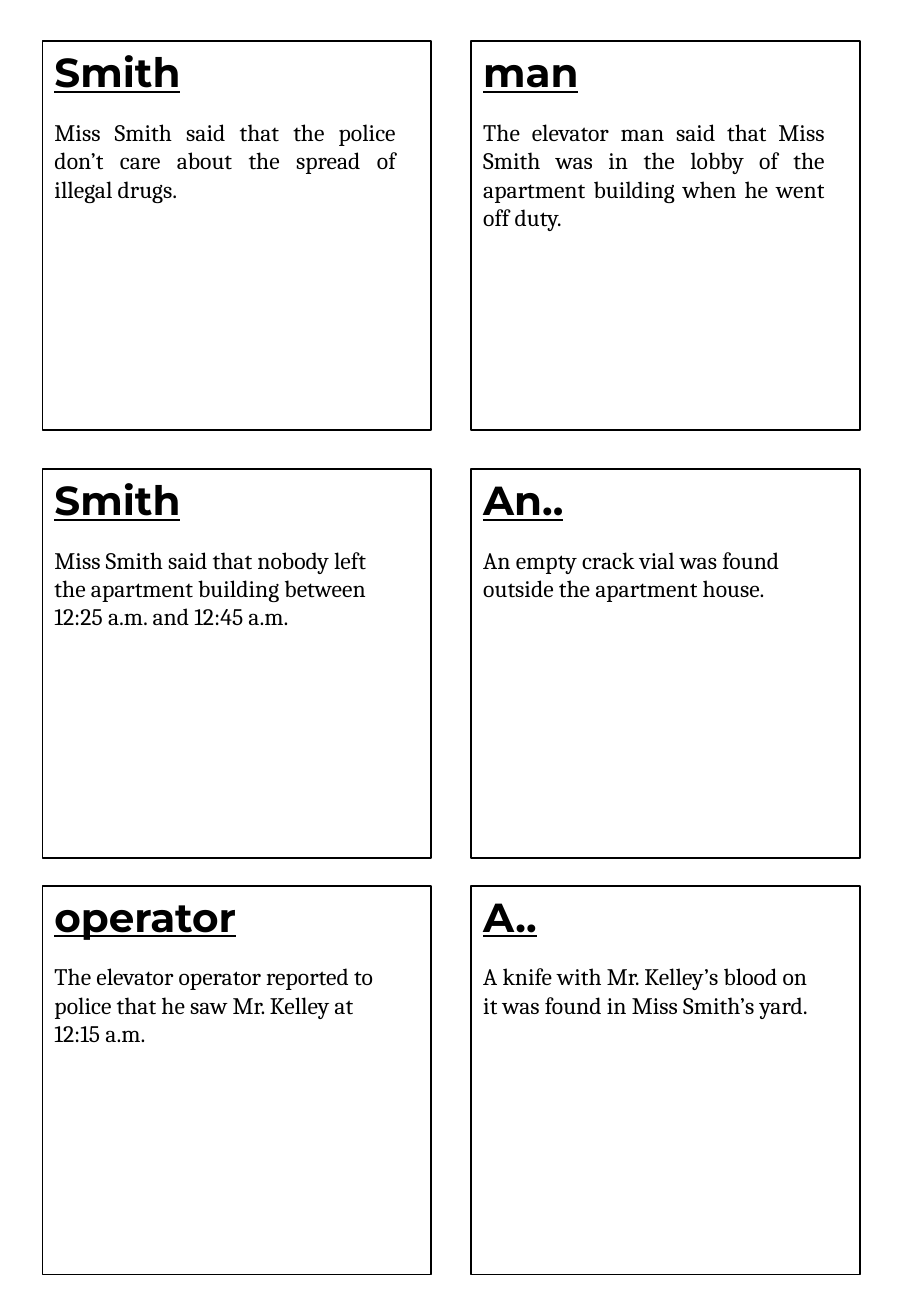
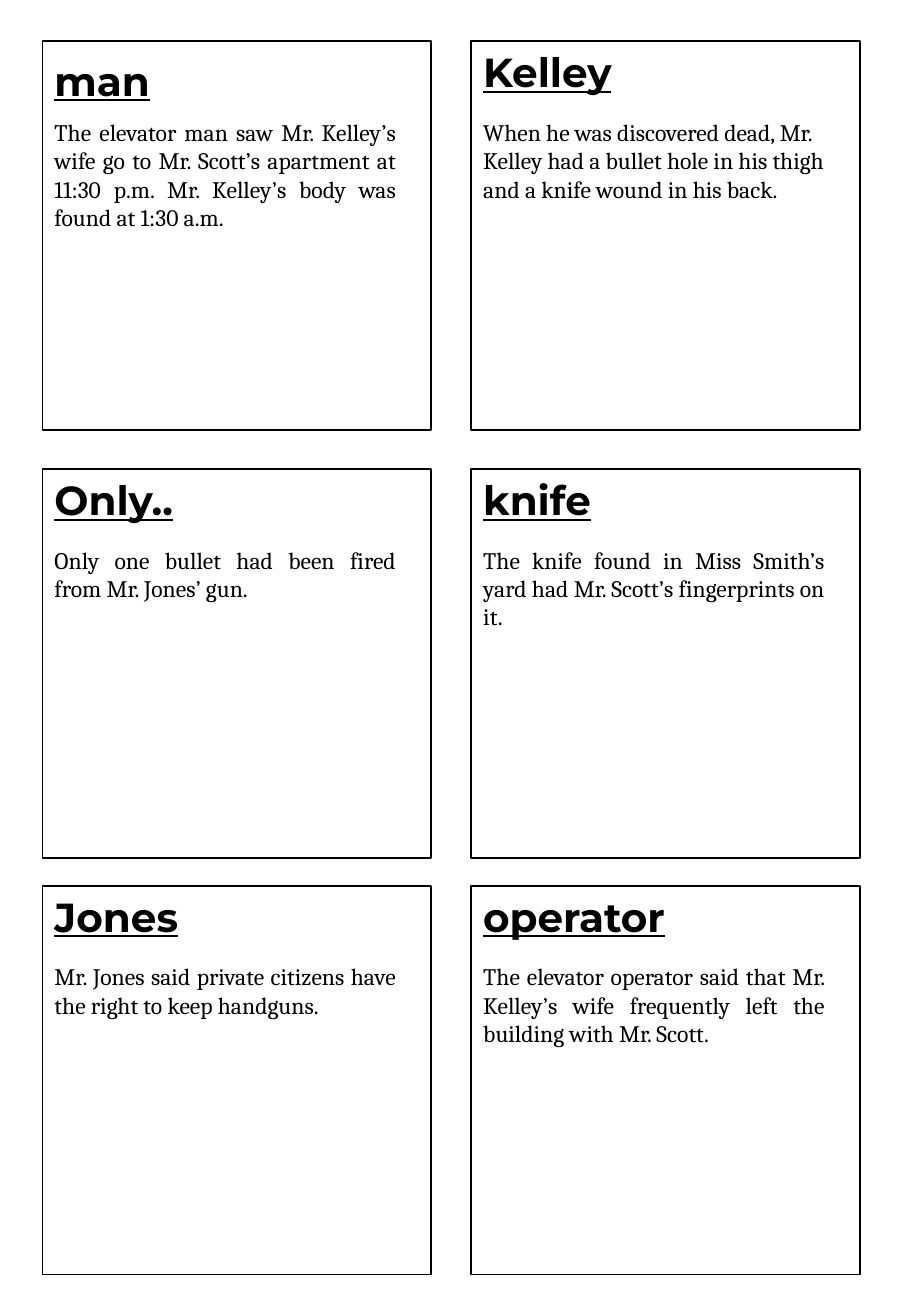
import pptx
import pptx.util
import pptx.dml.color
import pptx.enum.shapes
import pptx.enum.text

Pt = pptx.util.Pt
BLACK = pptx.dml.color.RGBColor(0, 0, 0)
LEFT = pptx.enum.text.PP_ALIGN.LEFT
JUSTIFY = pptx.enum.text.PP_ALIGN.JUSTIFY

COLUMNS = [25.2, 279.36]
ROWS = [24.48, 277.92, 524.88]
CARD = 230.4
HEADING_H = 36
BODY_DROP = 41.76
BODY_W = 216.72
LINE_H = 16.8
INSETS = 7.2

SLIDES = [
    [
        ("Smith", 0, JUSTIFY, 3, "Miss Smith said that the police don’t care about the spread of illegal drugs."),
        ("man", 0, JUSTIFY, 4, "The elevator man said that Miss Smith was in the lobby of the apartment building when he went off duty."),
        ("Smith", 0, LEFT, 3, "Miss Smith said that nobody left the apartment building between 12:25 a.m. and 12:45 a.m."),
        ("An..", 0, LEFT, 2, "An empty crack vial was found outside the apartment house."),
        ("operator", 0, LEFT, 3, "The elevator operator reported to police that he saw Mr. Kelley at 12:15 a.m."),
        ("A..", 0, LEFT, 3, "A knife with Mr. Kelley’s blood on it was found in Miss Smith’s yard."),
    ],
    [
        ("man", 5.04, JUSTIFY, 5, "The elevator man saw Mr. Kelley’s wife go to Mr. Scott’s apartment at 11:30 p.m. Mr. Kelley’s body was found at 1:30 a.m."),
        ("Kelley", 0, LEFT, 4, "When he was discovered dead, Mr. Kelley had a bullet hole in his thigh and a knife wound in his back."),
        ("Only..", 0, JUSTIFY, 2, "Only one bullet had been fired from Mr. Jones’ gun."),
        ("knife", 0, JUSTIFY, 3, "The knife found in Miss Smith’s yard had Mr. Scott’s fingerprints on it."),
        ("Jones", 0, JUSTIFY, 3, "Mr. Jones said private citizens have the right to keep handguns."),
        ("operator", 0, JUSTIFY, 3, "The elevator operator said that Mr. Kelley’s wife frequently left the building with Mr. Scott."),
    ],
]


def add_text(s, x, y, w, h, text, font, size, align=LEFT):
    tf = s.shapes.add_textbox(Pt(x), Pt(y), Pt(w), Pt(h)).text_frame
    tf.word_wrap = True
    tf.auto_size = pptx.enum.text.MSO_AUTO_SIZE.SHAPE_TO_FIT_TEXT
    p = tf.paragraphs[0]
    p.alignment = align
    r = p.add_run()
    r.text = text
    r.font.name = font
    r.font.size = Pt(size)
    r.font.color.rgb = BLACK
    return r


prs = pptx.Presentation()
prs.slide_width = Pt(540)
prs.slide_height = Pt(779.76)

for cards in SLIDES:
    s = prs.slides.add_slide(prs.slide_layouts[6])
    for i, (heading, drop, align, lines, clue) in enumerate(cards):
        x = COLUMNS[i % 2]
        y = ROWS[i // 2]
        frame = s.shapes.add_shape(
            pptx.enum.shapes.MSO_SHAPE.RECTANGLE, Pt(x), Pt(y), Pt(CARD), Pt(CARD))
        frame.shadow.inherit = False
        frame.fill.background()
        frame.line.color.rgb = BLACK
        frame.line.width = Pt(1)
        r = add_text(s, x, y + drop, CARD, HEADING_H, heading, "Montserrat", 24)
        r.font.bold = True
        r.font.underline = True
        add_text(s, x, y + BODY_DROP, BODY_W, lines * LINE_H + INSETS,
                 clue, "Cambria", 14, align)

prs.save("out.pptx")
